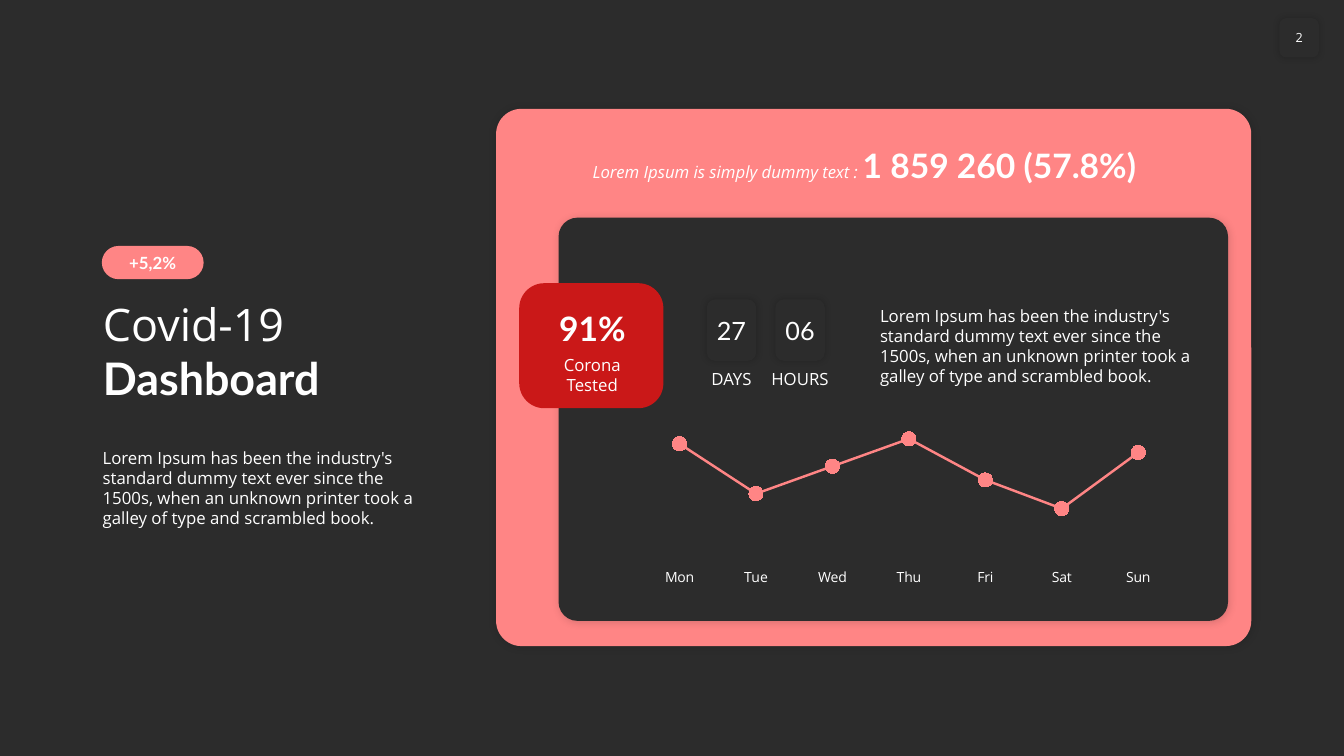
"""Build the Covid-19 dashboard slide and save it."""
from dataclasses import dataclass
from typing import Optional

from lxml import etree
from pptx import Presentation
from pptx import util as u
from pptx.chart.data import CategoryChartData
from pptx.dml.color import RGBColor
from pptx.enum import chart as ch
from pptx.enum import shapes, text
from pptx.oxml.ns import qn

DARK, CORAL, RED, WHITE = "2C2C2C", "FF8585", "CA1818", "FFFFFF"
SANS, LATO = "Open Sans", "Lato"
LEFT, CENTER = text.PP_ALIGN.LEFT, text.PP_ALIGN.CENTER
TOP, MIDDLE, BOTTOM = (text.MSO_ANCHOR.TOP, text.MSO_ANCHOR.MIDDLE,
                       text.MSO_ANCHOR.BOTTOM)
BOX_INSETS = (0.1, 0.05, 0.1, 0.05)
TILE_INSETS = (0, 0.05, 0, 0.05)
LABEL_INSETS = (0.04, 0.05, 0.04, 0.05)
LOREM = ("Lorem Ipsum has been the industry's standard dummy text ever since the "
         "1500s, when an unknown printer took a galley of type and scrambled book.")


@dataclass
class Run:
    text: str
    size: float = 12
    name: str = SANS
    bold: bool = False
    italic: bool = False


@dataclass
class Shadow:
    alpha: int
    blur: float
    dist: float


@dataclass
class Item:
    at: tuple
    runs: tuple = ()
    fill: Optional[str] = None
    adj: float = 0.17
    shadow: Optional[Shadow] = None
    align: text.PP_ALIGN = CENTER
    anchor: text.MSO_ANCHOR = MIDDLE
    insets: tuple = BOX_INSETS
    wrap: bool = True


def rgb(color: str) -> RGBColor:
    return RGBColor.from_string(color)


def format_font(font, **values) -> None:
    for key, value in values.items():
        setattr(font, key, value)
    font.color.rgb = rgb(WHITE)


def write_text(sp, item: Item) -> None:
    tf = sp.text_frame
    sides = ("left", "top", "right", "bottom")
    frame = {f"margin_{side}": u.Inches(inset) for side, inset in zip(sides, item.insets)}
    frame |= {"auto_size": text.MSO_AUTO_SIZE.NONE, "word_wrap": item.wrap,
              "vertical_anchor": item.anchor}
    for key, value in frame.items():
        setattr(tf, key, value)
    p = tf.paragraphs[0]
    p.alignment = item.align
    for run in item.runs:
        r = p.add_run()
        r.text = run.text
        format_font(r.font, size=u.Pt(run.size), name=run.name,
                    bold=run.bold, italic=run.italic)


def add_shadow(sp, shadow: Shadow) -> None:
    effects = sp._element.spPr.find(qn("a:effectLst"))
    outer = etree.SubElement(effects, qn("a:outerShdw"), blurRad=str(u.Pt(shadow.blur)),
                             dist=str(u.Pt(shadow.dist)), dir=str(45 * 60000),
                             algn="ctr", rotWithShape="0")
    color = etree.SubElement(outer, qn("a:srgbClr"), val="000000")
    etree.SubElement(color, qn("a:alpha"), val=str(shadow.alpha * 1000))


def draw_item(slide, item: Item) -> None:
    at = [u.Inches(v) for v in item.at]
    if item.fill:
        sp = slide.shapes.add_shape(shapes.MSO_SHAPE.ROUNDED_RECTANGLE, *at)
        sp.adjustments[0] = item.adj
        sp.fill.solid()
        sp.fill.fore_color.rgb = rgb(item.fill)
        sp.line.fill.background()
        sp.shadow.inherit = False
        if item.shadow:
            add_shadow(sp, item.shadow)
    else:
        sp = slide.shapes.add_textbox(*at)
    if item.runs:
        write_text(sp, item)


def draw_title(slide, item: Item) -> None:
    sp = slide.shapes.title
    for key, value in zip(("left", "top", "width", "height"), item.at):
        setattr(sp, key, u.Inches(value))
    write_text(sp, item)


def set_plot_layout(chart, **fractions: float) -> None:
    area = chart._chartSpace.chart.plotArea
    layout = area.find(qn("c:layout"))
    if layout is None:
        layout = etree.Element(qn("c:layout"))
        area.insert(0, layout)
    manual = etree.SubElement(layout, qn("c:manualLayout"))
    modes = {"layoutTarget": "inner", "xMode": "edge", "yMode": "edge"}
    for tag, value in (modes | fractions).items():
        etree.SubElement(manual, qn(f"c:{tag}"), val=str(value))


def draw_chart(slide) -> None:
    data = CategoryChartData()
    data.categories = ["Mon", "Tue", "Wed", "Thu", "Fri", "Sat", "Sun"]
    data.add_series("Series 1", (96, 56, 78, 100, 67, 44, 89))
    at = [u.Inches(v) for v in (6.25, 4.18, 5.53, 1.68)]
    chart = slide.shapes.add_chart(ch.XL_CHART_TYPE.LINE_MARKERS_STACKED, *at, data).chart
    chart.has_legend = chart.has_title = False
    format_font(chart.font, size=u.Pt(12), name=SANS)
    set_plot_layout(chart, x=0.02, y=0.03, w=0.96, h=0.81)

    days, values = chart.category_axis, chart.value_axis
    days.major_tick_mark = ch.XL_TICK_MARK.NONE
    days.format.line.fill.background()
    format_font(days.tick_labels.font, size=u.Pt(10), name=SANS)
    axis = {"visible": False, "has_major_gridlines": False,
            "minimum_scale": 0, "maximum_scale": 110}
    for key, value in axis.items():
        setattr(values, key, value)

    chart.plots[0].vary_by_categories = False
    series = chart.plots[0].series[0]
    series.smooth = False
    series.format.line.width = u.Pt(1.75)
    series.format.line.color.rgb = rgb(CORAL)
    series.marker.style = ch.XL_MARKER_STYLE.CIRCLE
    series.marker.size = 10
    series.marker.format.fill.solid()
    series.marker.format.fill.fore_color.rgb = rgb(CORAL)
    series.marker.format.line.fill.background()


PANEL_SHADOW, TILE_SHADOW = Shadow(15, 6, 1), Shadow(20, 5, 0)
TITLE = Item((0.92, 2.88, 3.36, 1.18), align=LEFT, anchor=BOTTOM,
             runs=(Run("Covid-19 ", 32), Run("Dashboard", 32, LATO, True)))
ITEMS = [
    Item((4.92, 1.08, 7.49, 5.33), fill=CORAL, adj=0.047, shadow=PANEL_SHADOW),
    Item((12.69, 0.18, 0.39, 0.39), (Run("2", 9),), DARK, shadow=TILE_SHADOW,
         insets=TILE_INSETS, wrap=False),
    Item((0.92, 4.39, 3.36, 0.91), (Run(LOREM),), align=LEFT, anchor=TOP),
    Item((1.01, 2.44, 1.01, 0.33), (Run("+5,2%", 12, LATO, True),), CORAL, 0.5,
         insets=(0, 0, 0, 0)),
    Item((5.54, 2.16, 6.64, 4), fill=DARK, adj=0.047, shadow=PANEL_SHADOW),
    Item((5.78, 1.39, 6, 0.5), align=LEFT, anchor=TOP,
         runs=(Run("Lorem Ipsum is simply dummy text : ", italic=True),
               Run("1 859 260 (57.8%)", 24, LATO, True))),
    Item((5.15, 2.81, 1.43, 1.24), fill=RED, adj=0.2),
    Item((5.26, 3, 1.23, 0.5), (Run("91%", 24, LATO, True),), anchor=BOTTOM),
    Item((5.26, 3.47, 1.23, 0.5), (Run("Corona Tested"),), anchor=TOP),
    Item((8.63, 2.98, 3.36, 0.91), (Run(LOREM),), align=LEFT, anchor=TOP),
]
for left, number, unit, width in ((7.01, "27", "DAYS", 0.59), (7.69, "06", "HOURS", 0.67)):
    ITEMS += [
        Item((left, 2.97, 0.49, 0.61), (Run(number, 18, LATO),), DARK,
             shadow=TILE_SHADOW, insets=TILE_INSETS),
        Item((left + (0.49 - width) / 2, 3.61, width, 0.3), (Run(unit),),
             anchor=TOP, insets=LABEL_INSETS),
    ]


def main() -> None:
    prs = Presentation()
    prs.slide_width, prs.slide_height = u.Inches(13.33), u.Inches(7.5)
    slide = prs.slides.add_slide(prs.slide_layouts[5])
    slide.background.fill.solid()
    slide.background.fill.fore_color.rgb = rgb(DARK)
    draw_title(slide, TITLE)
    for item in ITEMS:
        draw_item(slide, item)
    draw_chart(slide)
    prs.save("out.pptx")


if __name__ == "__main__":
    main()
